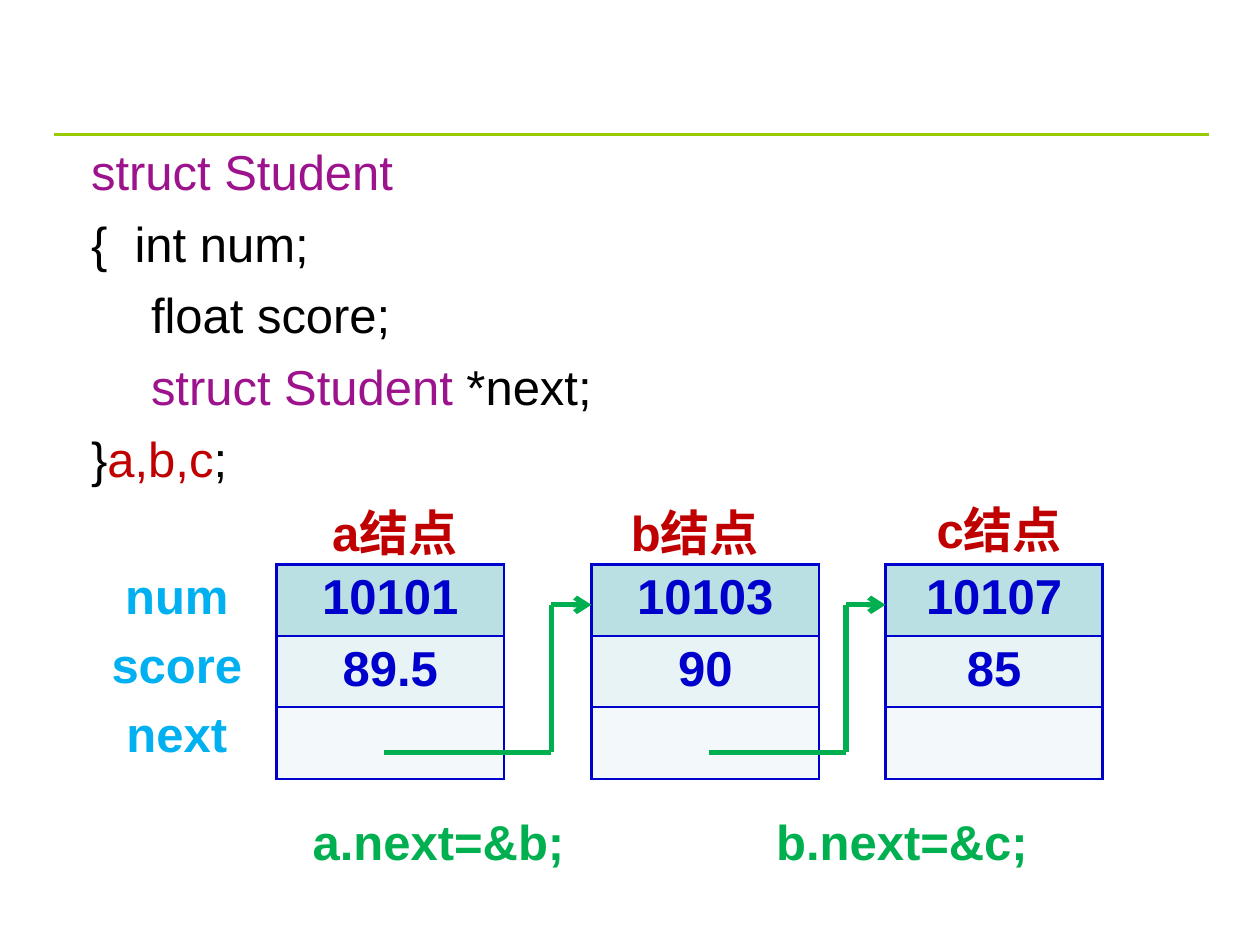
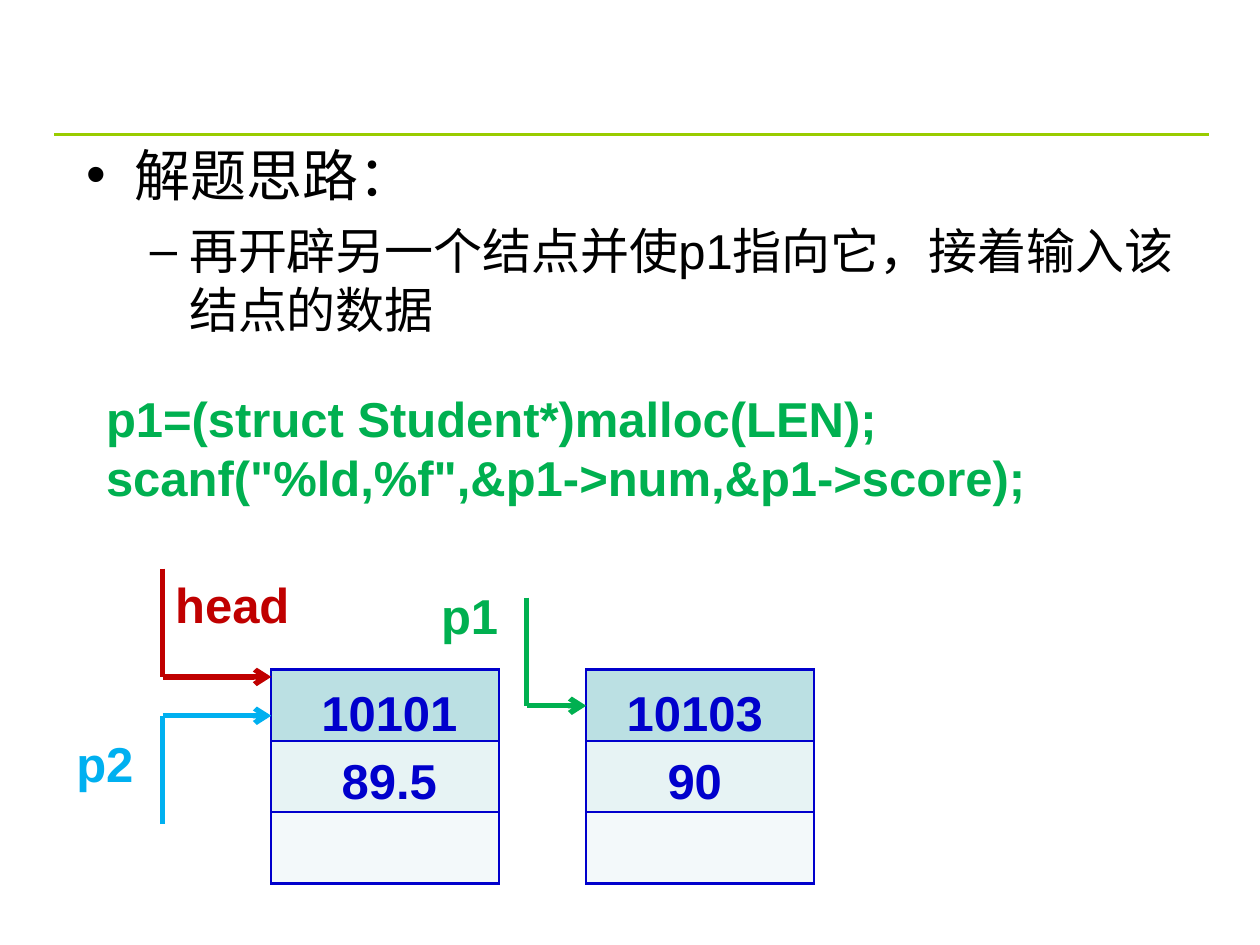
from lxml import etree
from pptx import Presentation
from pptx.dml.color import RGBColor
from pptx.enum.shapes import MSO_CONNECTOR
from pptx.enum.text import PP_ALIGN
from pptx.oxml.ns import qn
from pptx.util import Pt

STRAIGHT = MSO_CONNECTOR.STRAIGHT
LEFT, CENTER = PP_ALIGN.LEFT, PP_ALIGN.CENTER

# Shared look
FONT, SIZE, LEADING = "Arial", 28, 34
BLACK, PURPLE, RED = "000000", "9D138D", "C00000"
GREEN, SKY, BLUE, RULE = "00B050", "00B0F0", "0000CC", "99CC00"
ROW_FILLS = ("BBE0E3", "E7F3F4", "F3F9FA")
ROW_H, LABEL_H = 40.8, 41

# Slide 1: struct declaration and three linked nodes
STRUCT_CODE = [
    [("struct Student", PURPLE)],
    [("{  int num;", BLACK)],
    [("　 float score;", BLACK)],
    [("　 ", BLACK), ("struct Student ", PURPLE), ("*next;", BLACK)],
    [("}", BLACK), ("a,b,c", RED), (";", BLACK)],
]
NODE_TOP = 322.5
NODES = [  # left, width, values, title, title left, title top, title width
    (158, 130, ("10101", "89.5", ""), "a结点", 163.5, 283.5, 124),
    (338, 130, ("10103", "90", ""), "b结点", 338, 283.5, 118),
    (506, 124, ("10107", "85", ""), "c结点", 518, 281.5, 106),
]
FIELDS = ["num", "score", "next"]
LINKS = [  # start, bend and end of each next pointer
    (219.6, 315, 338),
    (405.4, 483.5, 506),
]
LINK_BOTTOM, LINK_TOP = 430, 345.6
ASSIGNMENTS = [(140.5, "a.next=&b;"), (405.4, "b.next=&c;")]

# Slide 2: allocating the second node
IDEA = [  # text, size, leading, bullet, left margin, hanging indent, space before
    ("解题思路：", 32, 38, "•", 27, 27, 0),
    ("再开辟另一个结点并使p1指向它，接着输入该结点的数据", 28, 34, "–", 58.5, 22.5, 7),
]
ALLOC_CODE = ["p1=(struct Student*)malloc(LEN);",
              "scanf(\"%ld,%f\",&p1->num,&p1->score);"]
HEAP_TOP = 382.5
HEAP_NODES = [  # left, values left, values
    (155, 160.5, ("10101", "89.5")),
    (335, 335, ("10103", "90")),
]
POINTERS = [  # name, colour, label left, top, width, line points
    ("head", RED, 93, 324.5, 96, [(93, 325), (93, 386.8), (155, 386.8)]),
    ("p1", GREEN, 245, 330.5, 62, [(301, 341.5), (301, 403.3), (335, 403.3)]),
    ("p2", SKY, 36.5, 415, 62, [(93, 471), (93, 409), (155, 409)]),
]


def rgb(color):
    return RGBColor.from_string(color)


def style(font, color, bold=False, size=SIZE):
    font.name, font.size, font.bold = FONT, Pt(size), bold
    font.color.rgb = rgb(color)


def line(s, start, end, color, width, arrow=False):
    c = s.shapes.add_connector(STRAIGHT, *map(Pt, start + end))
    c.line.color.rgb, c.line.width = rgb(color), Pt(width)
    if arrow:
        etree.SubElement(c.line._get_or_add_ln(), qn("a:tailEnd"), type="arrow")
    etree.SubElement(c._element.spPr, qn("a:effectLst"))


def pointer(s, points, color):
    """Bent line whose last leg carries the arrowhead."""
    for i in range(1, len(points)):
        line(s, points[i - 1], points[i], color, 3, i == len(points) - 1)


def text_frame(s, x, y, w, h):
    tf = s.shapes.add_textbox(Pt(x), Pt(y), Pt(w), Pt(h)).text_frame
    tf.word_wrap = True
    return tf


def paragraph(tf, i):
    return tf.add_paragraph() if i else tf.paragraphs[0]


def label(s, x, y, w, h, lines, color, align=CENTER, leading=LEADING):
    tf = text_frame(s, x, y, w, h)
    for i, text in enumerate(lines):
        p = paragraph(tf, i)
        p.text, p.alignment, p.line_spacing = text, align, Pt(leading)
        style(p.font, color, True)


def border(cell):
    tc_pr = cell._tc.get_or_add_tcPr()
    for i, side in enumerate(("lnL", "lnR", "lnT", "lnB")):
        ln = etree.Element(qn("a:" + side), w=str(Pt(1.5)))
        fill = etree.SubElement(ln, qn("a:solidFill"))
        etree.SubElement(fill, qn("a:srgbClr"), val=BLUE)
        tc_pr.insert(i, ln)


def node(s, x, y, w, values=("", "", "")):
    """One list node: num, score and next cells."""
    rows = len(ROW_FILLS)
    table = s.shapes.add_table(rows, 1, Pt(x), Pt(y), Pt(w), Pt(rows * ROW_H)).table
    table.first_row = table.horz_banding = False
    for i, (value, color) in enumerate(zip(values, ROW_FILLS)):
        table.rows[i].height = Pt(ROW_H)
        cell = table.cell(i, 0)
        cell.fill.solid()
        cell.fill.fore_color.rgb = rgb(color)
        border(cell)
        p = cell.text_frame.paragraphs[0]
        if value:
            p.text, p.alignment = value, CENTER
            style(p.font, BLUE, True)


def new_slide(prs):
    s = prs.slides.add_slide(prs.slide_layouts[6])
    line(s, (31, 77), (691, 77), RULE, 1.5)
    return s


def linked_nodes(prs):
    s = new_slide(prs)
    # Declaration
    tf = text_frame(s, 45, 77, 490, 225)
    for i, runs in enumerate(STRUCT_CODE):
        p = paragraph(tf, i)
        p.line_spacing, p.space_before = Pt(LEADING), Pt(7 if i else 0)
        for text, color in runs:
            r = p.add_run()
            r.text = text
            style(r.font, color)
    # Nodes with titles and field names
    for x, w, values, title, title_x, title_y, title_w in NODES:
        node(s, x, NODE_TOP, w, values)
        label(s, title_x, title_y, title_w, LABEL_H, [title], RED)
    for i, field in enumerate(FIELDS):
        label(s, 45, 319 + i * 39.6, 112, LABEL_H, [field], SKY)
    # Links and the statements that make them
    for start, bend, end in LINKS:
        pointer(s, [(start, LINK_BOTTOM), (bend, LINK_BOTTOM),
                    (bend, LINK_TOP), (end, LINK_TOP)], GREEN)
    for x, code in ASSIGNMENTS:
        label(s, x, 460, 220, LABEL_H, [code], GREEN)


def second_node(prs):
    s = new_slide(prs)
    # Idea
    tf = text_frame(s, 42.5, 77, 658, 146)
    for i, (text, size, leading, bullet, margin, hang, before) in enumerate(IDEA):
        p = paragraph(tf, i)
        p.text, p.line_spacing, p.space_before = text, Pt(leading), Pt(before)
        p_pr = p._p.get_or_add_pPr()
        p_pr.set("marL", str(Pt(margin)))
        p_pr.set("indent", str(-Pt(hang)))
        etree.SubElement(p_pr, qn("a:buFont"), typeface=FONT)
        etree.SubElement(p_pr, qn("a:buChar"), char=bullet)
        style(p.font, BLACK, size=size)
    label(s, 53.5, 218, 680, 75, ALLOC_CODE, GREEN, LEFT)
    # Nodes and the pointers to them
    for x, values_x, values in HEAP_NODES:
        node(s, x, HEAP_TOP, 130)
        label(s, values_x, 381, 124, 86, values, BLUE, leading=39)
    for name, color, x, y, w, points in POINTERS:
        label(s, x, y, w, LABEL_H, [name], color, LEFT)
        pointer(s, points, color)


def main():
    prs = Presentation()
    prs.slide_width, prs.slide_height = Pt(720), Pt(540)
    linked_nodes(prs)
    second_node(prs)
    prs.save("out.pptx")


if __name__ == "__main__":
    main()
